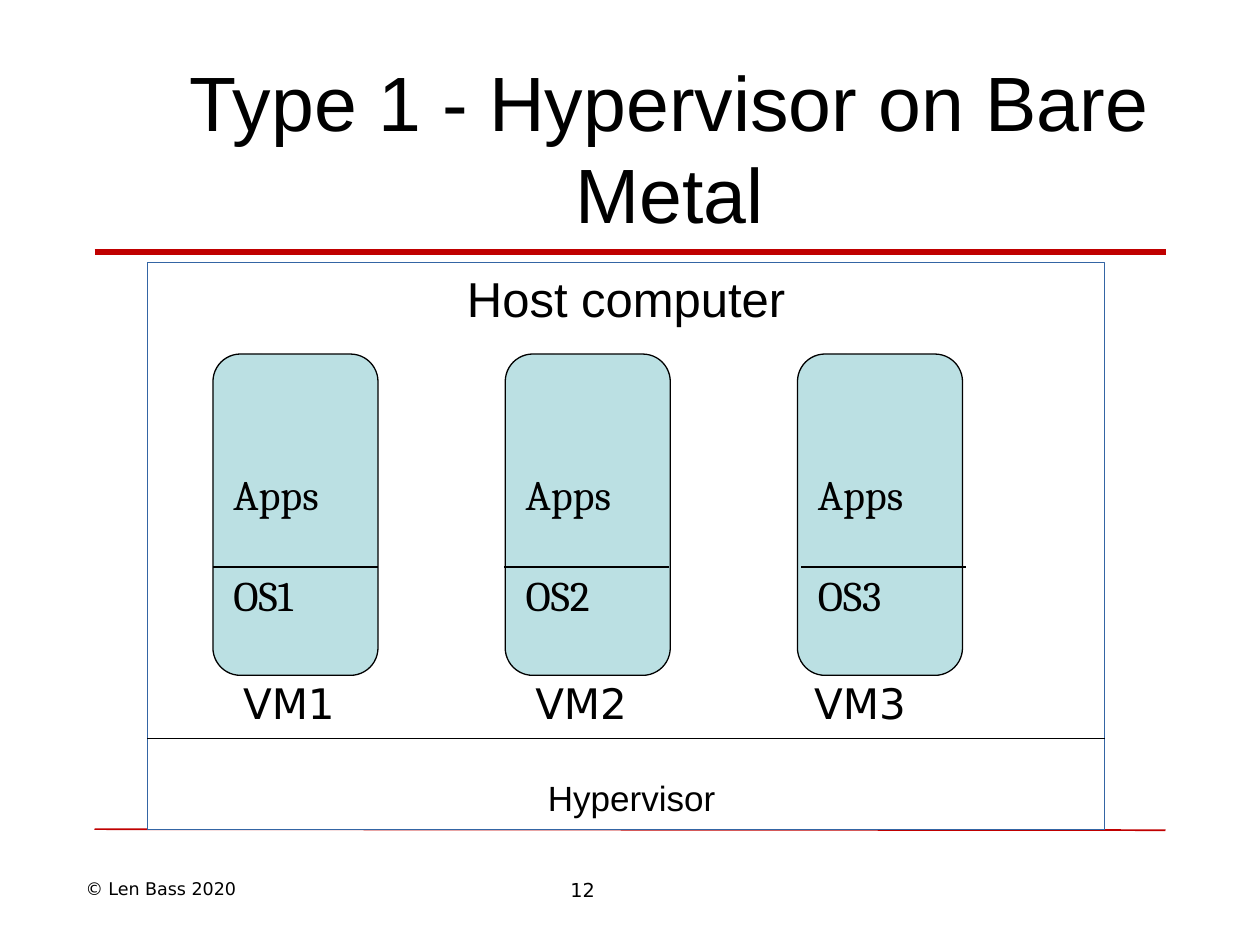
import pptx
import pptx.dml.color
import pptx.enum.shapes
import pptx.enum.text
import pptx.util
from lxml import etree

Pt = pptx.util.Pt
RGBColor = pptx.dml.color.RGBColor
MSO_SHAPE = pptx.enum.shapes.MSO_SHAPE
PP_ALIGN = pptx.enum.text.PP_ALIGN
MSO_ANCHOR = pptx.enum.text.MSO_ANCHOR

BLACK = RGBColor(0x00, 0x00, 0x00)
WHITE = RGBColor(0xFF, 0xFF, 0xFF)
RED = RGBColor(0xC0, 0x00, 0x00)
HOST_BLUE = RGBColor(0x34, 0x65, 0xA4)
VM_TEAL = RGBColor(0xBB, 0xE0, 0xE3)

TITLE = "Type 1 - Hypervisor on Bare Metal"
HOST = "Host computer"
HYPERVISOR = "Hypervisor"
MACHINES = [("VM1", "OS1", 0), ("VM2", "OS2", -0.7), ("VM3", "OS3", 2.2)]
LABEL_TABS = [167, 326.4]
COPYRIGHT = "© Len Bass 2020"
PAGE = "12"

RULE_LEFT, RULE_RIGHT = 54, 666
HOST_LEFT, HOST_TOP, HOST_WIDTH, HOST_HEIGHT = 84.2, 150, 547.2, 324
HYPERVISOR_TOP = 422
VM_LEFT, VM_TOP, VM_WIDTH, VM_HEIGHT, VM_PITCH = 121.7, 202.3, 94.3, 183.6, 167
OS_TOP = 324


def style(paragraph, size, face, align=PP_ALIGN.LEFT):
    paragraph.alignment = align
    paragraph.font.size = Pt(size)
    paragraph.font.name = face
    paragraph.font.color.rgb = BLACK


def add_line(slide, start, end, color, width):
    line = slide.shapes.add_connector(
        pptx.enum.shapes.MSO_CONNECTOR.STRAIGHT, *map(Pt, start + end))
    line.line.color.rgb = color
    line.line.width = Pt(width)
    etree.SubElement(line._element.spPr, pptx.oxml.ns.qn("a:effectLst"))


def add_box(slide, preset, place, fill, outline):
    box = slide.shapes.add_shape(preset, *map(Pt, place))
    box.shadow.inherit = False
    box.fill.solid()
    box.fill.fore_color.rgb = fill
    box.line.color.rgb = outline
    box.line.width = Pt(0.75)
    box.text_frame.vertical_anchor = MSO_ANCHOR.TOP
    return box.text_frame


def add_label(slide, place, text, size, face, align=PP_ALIGN.LEFT, tabs=()):
    frame = slide.shapes.add_textbox(*map(Pt, place)).text_frame
    frame.word_wrap = True
    label = frame.paragraphs[0]
    label.text = text
    if tabs:
        tab_list = etree.SubElement(
            label._p.get_or_add_pPr(), pptx.oxml.ns.qn("a:tabLst"))
        for stop in tabs:
            etree.SubElement(tab_list, pptx.oxml.ns.qn("a:tab"),
                             pos=str(int(Pt(stop))), algn="l")
    style(label, size, face, align)


def main():
    deck = pptx.Presentation()
    deck.slide_width, deck.slide_height = Pt(720), Pt(540)
    slide = deck.slides.add_slide(deck.slide_layouts[5])

    title = slide.shapes.title
    title.left, title.top, title.width, title.height = map(
        Pt, (79.2, 41.8, 607, 84.2))
    title.text_frame.text = TITLE
    title.text_frame.auto_size = pptx.enum.text.MSO_AUTO_SIZE.NONE
    title.text_frame.vertical_anchor = MSO_ANCHOR.MIDDLE
    style(title.text_frame.paragraphs[0], 44, "Arial", PP_ALIGN.CENTER)

    add_label(slide, (41.8, 498.2, 156.2, 19.4), COPYRIGHT, 10, "DejaVu Sans")
    add_label(slide, (288, 498.2, 90, 20.9), PAGE, 11, "DejaVu Sans",
              PP_ALIGN.CENTER)
    add_line(slide, (RULE_LEFT, 144), (RULE_RIGHT, 144), RED, 3)
    add_line(slide, (RULE_LEFT, 473.8), (RULE_RIGHT, 474.4), RED, 1)

    host = add_box(slide, MSO_SHAPE.RECTANGLE,
                   (HOST_LEFT, HOST_TOP, HOST_WIDTH, HOST_HEIGHT),
                   WHITE, HOST_BLUE)
    host.text = HOST
    style(host.paragraphs[0], 28, "Arial", PP_ALIGN.CENTER)
    add_line(slide, (HOST_LEFT, HYPERVISOR_TOP),
             (HOST_LEFT + HOST_WIDTH, HYPERVISOR_TOP), BLACK, 0.75)
    add_label(slide, (306, 440, 110.2, 29.5), HYPERVISOR, 20, "Arial")

    for index, (name, system, shift) in enumerate(MACHINES):
        left = VM_LEFT + index * VM_PITCH
        machine = add_box(slide, MSO_SHAPE.ROUNDED_RECTANGLE,
                          (left, VM_TOP, VM_WIDTH, VM_HEIGHT), VM_TEAL, BLACK)
        machine.margin_top = Pt(61)
        machine.text = "Apps\n" + system
        for layer in machine.paragraphs:
            style(layer, 24, "Cambria")
        machine.paragraphs[1].space_before = Pt(29)
        add_line(slide, (left + shift, OS_TOP),
                 (left + shift + VM_WIDTH, OS_TOP), BLACK, 0.75)

    names = "\t".join(name for name, system, shift in MACHINES)
    add_label(slide, (131.8, 383.8, 419.8, 36), names, 24, "DejaVu Sans",
              tabs=LABEL_TABS)
    deck.save("out.pptx")


if __name__ == "__main__":
    main()
